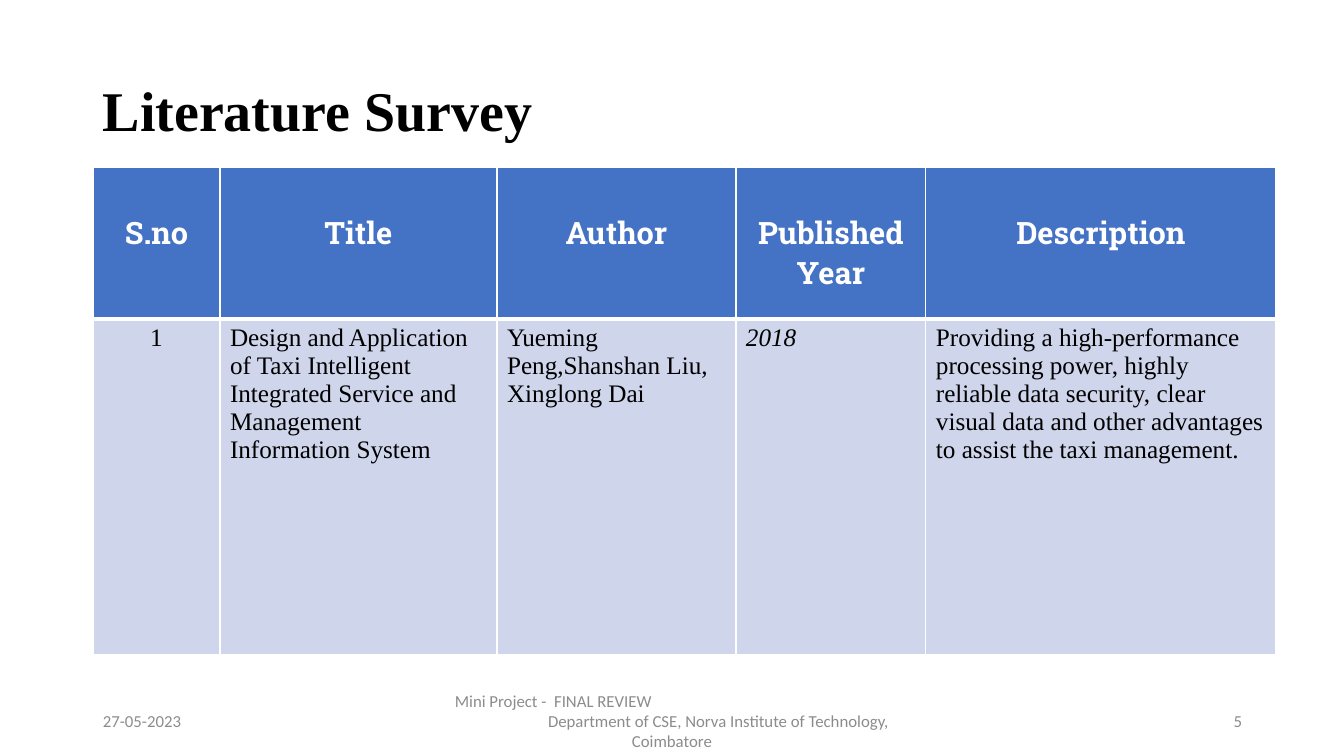
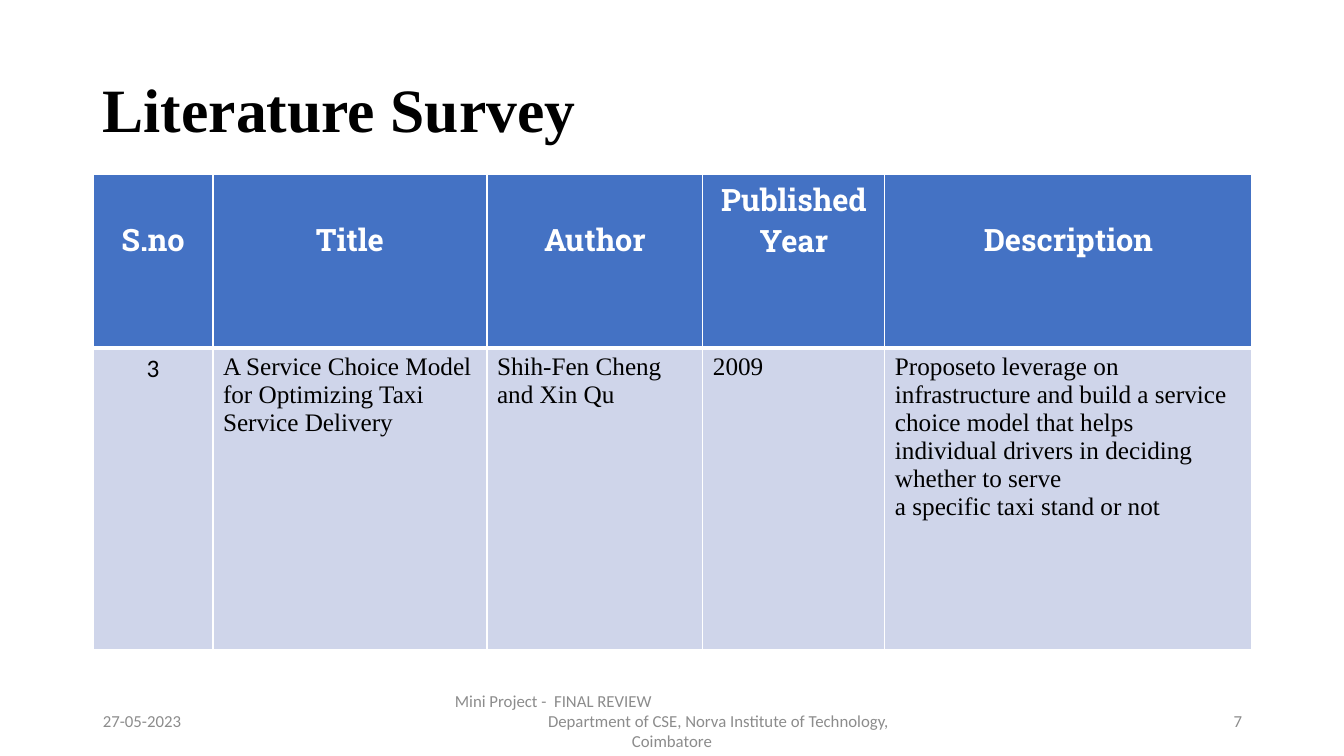
from pptx import Presentation
from pptx.dml.color import RGBColor
from pptx.enum.text import MSO_ANCHOR, PP_ALIGN
from pptx.oxml import parse_xml
from pptx.oxml.ns import nsdecls
from pptx.util import Emu, Pt

SCALE = 914400 / 100.8
HUES = {"ink": "000000", "white": "FFFFFF", "grey": "8C8C8C",
        "head": "4472C4", "body": "CFD5EA"}
LEFT, MID, RIGHT = PP_ALIGN.LEFT, PP_ALIGN.CENTER, PP_ALIGN.RIGHT
SERIF = "Times New Roman"

TITLE = {"name": SERIF, "size": Pt(40), "bold": True, "hue": "ink"}
HEAD = {"name": "Roboto Slab", "size": Pt(22), "bold": True, "hue": "white"}
BODY = {"name": SERIF, "size": Pt(18), "bold": False, "hue": "ink"}
FOOT = {"name": "Calibri", "size": Pt(12), "hue": "grey"}

HEADS = ["S.no", "Title", "Author", "Published Year", "Description"]
LINE = 40  # height of one header line
NOTE = [("Mini Project -  FINAL REVIEW", LEFT),
        ("Department of CSE, Norva Institute of Technology,", RIGHT),
        ("Coimbatore", MID)]

PAGES = [
    {"page": "5", "size": Pt(40), "top": 167,
     "cols": [127, 277, 239, 190, 350], "rows": [152, 336], "high": [],
     "cells": ["1",
               "Design and Application of Taxi Intelligent Integrated "
               "Service and Management Information System",
               "Yueming Peng,Shanshan Liu, Xinglong Dai",
               "2018",
               "Providing a high-performance processing power, highly "
               "reliable data security, clear visual data and other "
               "advantages to assist the taxi management."],
     "looks": {3: {"italic": True}}},
    {"page": "7", "size": Pt(44), "top": 174,
     "cols": [120, 274, 216, 182, 367], "rows": [174, 302], "high": [3],
     "cells": ["3",
               "A Service Choice Model for Optimizing Taxi Service Delivery",
               "Shih-Fen Cheng and Xin Qu",
               "2009",
               "Proposeto leverage on  infrastructure and build a service "
               "choice model that helps individual drivers in deciding "
               "whether to serve\na specific taxi stand or not"],
     "looks": {0: {"name": "Calibri"}}},
]


def px(*sizes):
    """Turn pixels into a list of EMU lengths."""
    return [Emu(round(size * SCALE)) for size in sizes]


def write(frame, lines, look):
    """Fill a text frame with (text, alignment) lines in one look."""
    frame.word_wrap = True
    for i, (text, align) in enumerate(lines):
        para = frame.paragraphs[0] if i == 0 else frame.add_paragraph()
        para.alignment = align
        run = para.add_run()
        run.text = text
        for key, value in look.items():
            if key == "hue":
                run.font.color.rgb = RGBColor.from_string(HUES[value])
            else:
                setattr(run.font, key, value)


deck = Presentation()
deck.slide_width, deck.slide_height = px(1344, 756)

for page in PAGES:
    slide = deck.slides.add_slide(deck.slide_layouts[6])

    # Title and footer
    boxes = [
        ((93, 40, 1159, 146), [("Literature Survey", LEFT)],
         TITLE | {"size": page["size"]}),
        ((93, 701, 302, 40), [("27-05-2023", LEFT)], FOOT),
        ((445, 701, 454, 40), NOTE, FOOT),
        ((950, 701, 302, 40), [(page["page"], RIGHT)], FOOT),
    ]
    for area, lines, look in boxes:
        frame = slide.shapes.add_textbox(*px(*area)).text_frame
        frame.vertical_anchor = MSO_ANCHOR.MIDDLE
        write(frame, lines, look)
        if look is not FOOT:
            frame.paragraphs[0].line_spacing = 0.9

    # Survey table
    cols, rows = page["cols"], page["rows"]
    area = px(93, page["top"], sum(cols), sum(rows))
    table = slide.shapes.add_table(len(rows), len(cols), *area).table
    table.horz_banding = False
    for col, width in zip(table.columns, px(*cols)):
        col.width = width
    for row, height in zip(table.rows, px(*rows)):
        row.height = height

    for r, texts in enumerate([HEADS, page["cells"]]):
        for c, text in enumerate(texts):
            cell = table.cell(r, c)
            align = MID if r == 0 or c == 0 else LEFT
            look = BODY | page["looks"].get(c, {}) if r else HEAD
            write(cell.text_frame,
                  [(part, align) for part in text.split("\n")], look)
            if r == 0 and c not in page["high"]:
                cell.margin_top = px(5 + LINE)[0]
            cell.fill.solid()
            cell.fill.fore_color.rgb = RGBColor.from_string(
                HUES["body" if r else "head"])
            props = cell._tc.get_or_add_tcPr()
            for i, side in enumerate("LRTB"):
                wide = Pt(3 if (r, side) in [(0, "B"), (1, "T")] else 1)
                props.insert(i, parse_xml(
                    f'<a:ln{side} {nsdecls("a")} w="{wide}"><a:solidFill>'
                    f'<a:srgbClr val="{HUES["white"]}"/></a:solidFill>'
                    f'</a:ln{side}>'))

deck.save("out.pptx")
